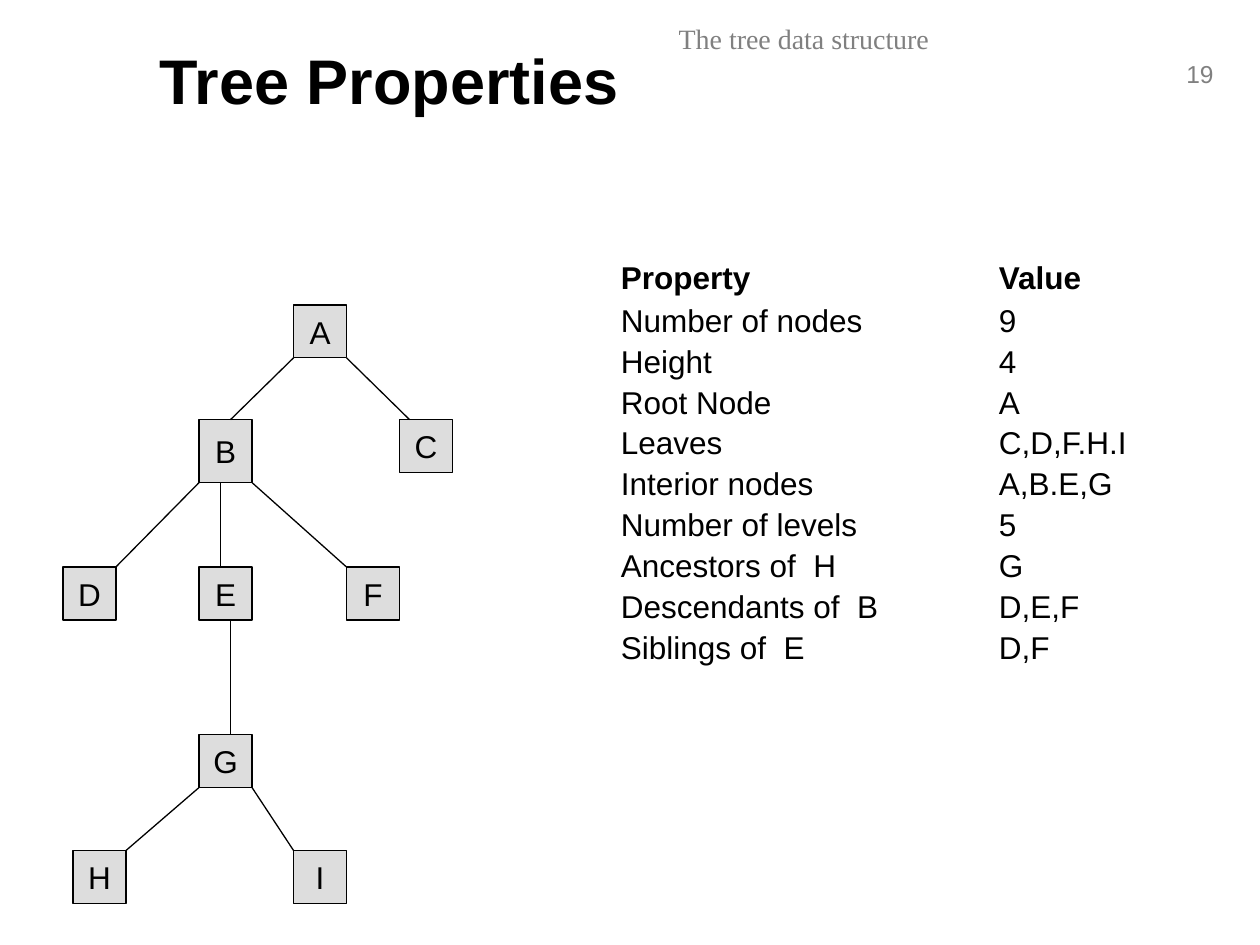
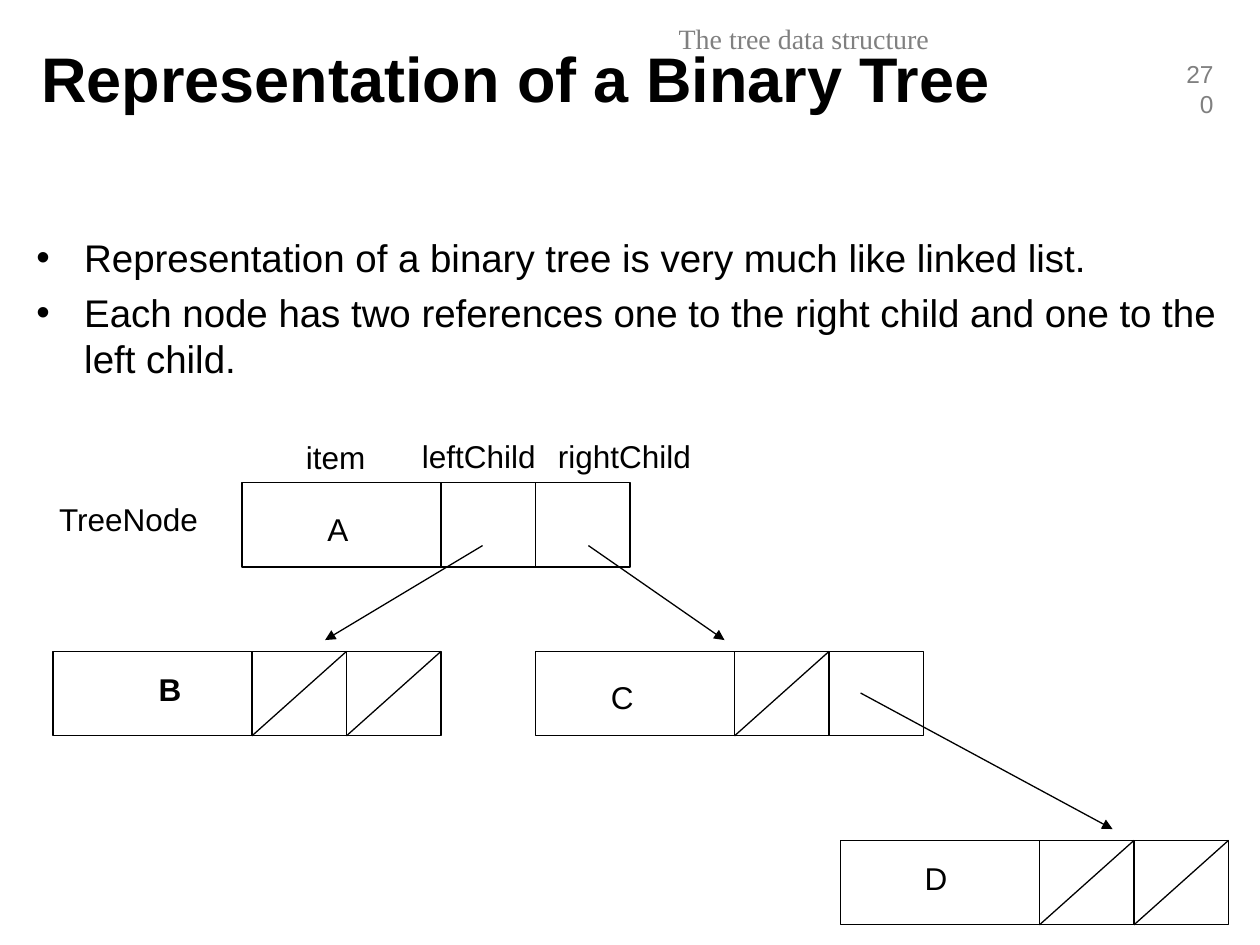
from lxml import etree
from pptx import Presentation
from pptx.dml.color import RGBColor
from pptx.enum import shapes, text
from pptx.oxml import ns
from pptx.util import Inches, Pt

COLORS = {"ink": "000000", "muted": "808080", "node": "DDDDDD"}
SANS, SERIF = "Arial", "Times New Roman"
LEFT, CENTER, RIGHT = text.PP_ALIGN.LEFT, text.PP_ALIGN.CENTER, text.PP_ALIGN.RIGHT


def write(frame, lines, size=18, color="ink", font=SANS, bold=False, align=LEFT, wrap=True):
    """Fill a text frame with one paragraph per line and return the paragraphs."""
    frame.text = "\n".join(lines)
    frame.word_wrap = wrap
    for paragraph in frame.paragraphs:
        paragraph.alignment = align
        for run in paragraph.runs:
            run.font.name = font
            run.font.size = Pt(size)
            run.font.bold = bold
            run.font.color.rgb = RGBColor.from_string(COLORS[color])
    return frame.paragraphs


def draw_line(slide, start, end, arrow=False):
    """Draw a thin straight line, with an arrowhead at its end if asked."""
    edge = slide.shapes.add_connector(
        shapes.MSO_CONNECTOR.STRAIGHT, *(Inches(v) for v in (*start, *end)))
    edge.line.width = Pt(0.75)
    edge.line.color.rgb = RGBColor.from_string(COLORS["ink"])
    if arrow:
        etree.SubElement(edge.line._get_or_add_ln(), ns.qn("a:tailEnd"), type="triangle")
    etree.SubElement(edge._element.spPr, ns.qn("a:effectLst"))


deck = Presentation()
deck.slide_width, deck.slide_height = Inches(10), Inches(7.5)

# Shared page number, running header and title
pages = [
    ("19", "Tree Properties", (1.17, 0.17, 8.5, 0.92)),
    ("270", "Representation of a Binary Tree", (0.23, 0.15, 8.03, 0.93)),
]
for number, heading, place in pages:
    slide = deck.slides.add_slide(deck.slide_layouts[6])
    page_number = slide.shapes.add_textbox(*map(Inches, (9.29, 0.42, 0.44, 0.33)))
    write(page_number.text_frame, [number], 14, "muted", align=RIGHT)
    running_header = slide.shapes.add_textbox(*map(Inches, (3.19, 0.12, 6.38, 0.4)))
    write(running_header.text_frame, ["The tree data structure"], 16, "muted", SERIF, align=CENTER)
    title = slide.shapes.add_textbox(*map(Inches, place))
    title.text_frame.vertical_anchor = text.MSO_ANCHOR.MIDDLE
    write(title.text_frame, [heading], 36, bold=True)
properties, representation = deck.slides

# Tree nodes: left, top, height
NODE = 0.42
nodes = {
    "A": (2.33, 2.42, NODE),
    "B": (1.58, 3.33, 0.5), "C": (3.17, 3.33, NODE),
    "D": (0.5, 4.5, NODE), "E": (1.58, 4.5, NODE), "F": (2.75, 4.5, NODE),
    "G": (1.58, 5.83, NODE),
    "H": (0.58, 6.75, NODE), "I": (2.33, 6.75, NODE),
}
for letter, (left, top, height) in nodes.items():
    node = properties.shapes.add_shape(
        shapes.MSO_SHAPE.RECTANGLE, *map(Inches, (left, top, NODE, height)))
    node.shadow.inherit = False
    node.fill.solid()
    node.fill.fore_color.rgb = RGBColor.from_string(COLORS["node"])
    node.line.color.rgb = RGBColor.from_string(COLORS["ink"])
    node.line.width = Pt(0.75)
    node.text_frame.vertical_anchor = text.MSO_ANCHOR.MIDDLE
    write(node.text_frame, [letter], align=CENTER, wrap=False)

# Tree edges: parent, x at the parent's bottom, child, x at the child's top
edges = [
    ("A", 2.33, "B", 1.83), ("A", 2.75, "C", 3.25),
    ("B", 1.58, "D", 0.92), ("B", 1.75, "E", 1.75), ("B", 2, "F", 2.75),
    ("E", 1.83, "G", 1.83),
    ("G", 1.58, "H", 1), ("G", 2, "I", 2.33),
]
for parent, parent_x, child, child_x in edges:
    _, top, height = nodes[parent]
    draw_line(properties, (parent_x, top + height), (child_x, nodes[child][1]))

# Property list, values aligned on one tab stop
facts = [
    ("Property", "Value"),
    ("Number of nodes", "9"),
    ("Height", "4"),
    ("Root Node", "A"),
    ("Leaves", "C,D,F.H.I"),
    ("Interior nodes", "A,B.E,G"),
    ("Number of levels", "5"),
    ("Ancestors of  H", "G"),
    ("Descendants of  B", "D,E,F"),
    ("Siblings of  E", "D,F"),
]
fact_list = properties.shapes.add_textbox(*map(Inches, (4.83, 2, 4.5, 3.54)))
rows = write(fact_list.text_frame, ["\t".join(fact) for fact in facts])
for index, row in enumerate(rows):
    tabs = etree.SubElement(row._p.get_or_add_pPr(), ns.qn("a:tabLst"))
    etree.SubElement(tabs, ns.qn("a:tab"), pos=str(Inches(3)), algn="l")
    if index:
        row.line_spacing = 0.6
        row.space_before = Pt(10.4)
    else:
        row.runs[0].font.bold = True

# Bulleted explanation
explanation = representation.shapes.add_textbox(*map(Inches, (0.19, 1.81, 9.61, 1.4)))
points = write(explanation.text_frame, [
    "Representation of a binary tree is very much like linked list.",
    "Each node has two references one to the right child and one to the left child.",
], 22)
for index, point in enumerate(points):
    settings = point._p.get_or_add_pPr()
    settings.set("marL", str(Inches(0.38)))
    settings.set("indent", str(Inches(-0.38)))
    etree.SubElement(settings, ns.qn("a:buFont"), typeface=SANS)
    etree.SubElement(settings, ns.qn("a:buChar"), char="•")
    if index:
        point.space_before = Pt(5)

# Linked records: left, top, cells holding a null reference
RECORD_WIDTH, RECORD_HEIGHT = 3.08, 0.67
REFERENCE_STARTS, REFERENCE_WIDTH = (1.58, 2.33), 0.75
records = [
    (1.92, 3.83, ()),
    (0.42, 5.17, (0, 1)),
    (4.25, 5.17, (0,)),
    (6.67, 6.67, (0, 1)),
]
for left, top, null_cells in records:
    record = representation.shapes.add_shape(
        shapes.MSO_SHAPE.RECTANGLE, *map(Inches, (left, top, RECORD_WIDTH, RECORD_HEIGHT)))
    record.shadow.inherit = False
    record.fill.background()
    record.line.color.rgb = RGBColor.from_string(COLORS["ink"])
    record.line.width = Pt(0.75)
    bottom = top + RECORD_HEIGHT
    for cell, start in enumerate(REFERENCE_STARTS):
        divider = left + start
        draw_line(representation, (divider, top), (divider, bottom))
        if cell in null_cells:
            draw_line(representation, (divider + REFERENCE_WIDTH, top), (divider, bottom))

# References between records
for start, end in [
    ((3.83, 4.33), (2.58, 5.08)),
    ((4.67, 4.33), (5.75, 5.08)),
    ((6.83, 5.5), (8.83, 6.58)),
]:
    draw_line(representation, start, end, arrow=True)

# Record labels: wording, left, top, width
labels = [
    ("item", 2.33, 3.43, 0.67),
    ("leftChild", 3.25, 3.42, 1.1),
    ("rightChild", 4.33, 3.42, 1.26),
    ("TreeNode", 0.37, 3.92, 1.31),
    ("A", 2.5, 4, 0.37),
    ("B", 1.16, 5.27, 0.38),
    ("C", 4.75, 5.33, 0.38),
    ("D", 7.24, 6.77, 0.38),
]
for wording, left, top, width in labels:
    label = representation.shapes.add_textbox(*map(Inches, (left, top, width, 0.4)))
    write(label.text_frame, [wording], bold=wording == "B", wrap=False)

deck.save("out.pptx")
